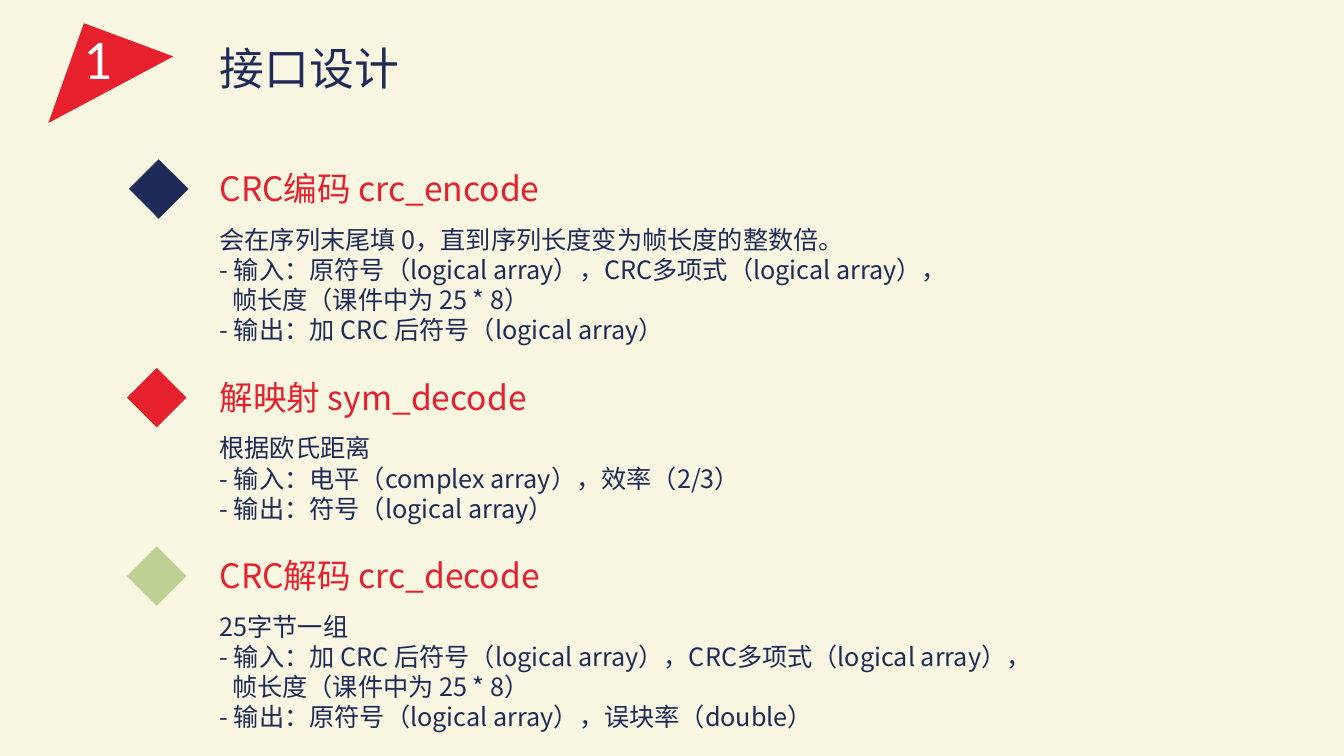
from dataclasses import dataclass

from lxml import etree
from pptx import Presentation
from pptx.dml.color import RGBColor
from pptx.enum import shapes, text
from pptx.oxml import ns
from pptx.util import Pt


@dataclass(frozen=True)
class Theme:
    cream: str = "F9F7E2"
    navy: str = "1E2B58"
    red: str = "E6202D"
    green: str = "BDD194"
    white: str = "FFFFFF"
    chinese: str = "Noto Sans CJK SC"
    numeral: str = "Calibri"
    title: float = 32
    number: float = 40
    heading: float = 24
    body: float = 18
    line: float = 1.2


THEME = Theme()
FRAME_LENGTH = "帧长度（课件中为 25 * 8）"
SECTIONS = [
    (113.76, 92.16, 613.44, THEME.navy, "CRC编码 crc_encode", [
        "会在序列末尾填 0，直到序列长度变为帧长度的整数倍。",
        "- 输入：原符号（logical array），CRC多项式（logical array），",
        FRAME_LENGTH,
        "- 输出：加 CRC 后符号（logical array）",
    ]),
    (262.8, 90.72, 702, THEME.red, "解映射 sym_decode", [
        "根据欧氏距离",
        "- 输入：电平（complex array），效率（2/3）",
        "- 输出：符号（logical array）",
    ]),
    (390.24, 90.72, 647.28, THEME.green, "CRC解码 crc_decode", [
        "25字节一组",
        "- 输入：加 CRC 后符号（logical array），CRC多项式（logical array），",
        FRAME_LENGTH,
        "- 输出：原符号（logical array），误块率（double）",
    ]),
]
TEXT_LEFT = 149.76


def place(shape, left, top, width, height):
    shape.left, shape.top = Pt(left), Pt(top)
    shape.width, shape.height = Pt(width), Pt(height)


def paint(shape, color):
    shape.shadow.inherit = False
    shape.fill.solid()
    shape.fill.fore_color.rgb = RGBColor.from_string(color)
    shape.line.fill.background()


def prepare_frame(shape, top_inset):
    frame = shape.text_frame
    frame.word_wrap = True
    frame.auto_size = text.MSO_AUTO_SIZE.NONE
    frame.vertical_anchor = text.MSO_ANCHOR.TOP
    frame.margin_top = Pt(top_inset)
    return frame


def add_run(paragraph, wording, size, color, font=THEME.chinese):
    paragraph.alignment = text.PP_ALIGN.LEFT
    run = paragraph.add_run()
    run.text = wording
    run.font.size = Pt(size)
    run.font.color.rgb = RGBColor.from_string(color)
    run.font.name = font
    properties = run._r.get_or_add_rPr()
    etree.SubElement(properties, ns.qn("a:ea"), typeface=font)


def add_line(paragraph, wording, size, color):
    paragraph.line_spacing = Pt(size * THEME.line)
    add_run(paragraph, wording, size, color)


def set_title(slide, wording):
    title = slide.shapes.title
    place(title, TEXT_LEFT, 22.32, 143.28, 46.08)
    frame = prepare_frame(title, 7)
    add_line(frame.paragraphs[0], wording, THEME.title, THEME.navy)


def add_number_flag(slide, number):
    builder = slide.shapes.build_freeform(Pt(60), Pt(16.56))
    builder.add_line_segments(
        [(Pt(123.84), Pt(40.32)), (Pt(34.56), Pt(87.84))], close=True)
    paint(builder.convert_to_shape(), THEME.red)
    box = slide.shapes.add_textbox(Pt(52.56), Pt(12.96), Pt(38.88), Pt(55.44))
    frame = prepare_frame(box, 3.6)
    add_run(frame.paragraphs[0], number, THEME.number, THEME.white, THEME.numeral)


def add_section(slide, top, marker_left, width, color, heading, lines):
    marker = slide.shapes.add_shape(
        shapes.MSO_SHAPE.DIAMOND, Pt(marker_left), Pt(top), Pt(42.48), Pt(42.48))
    paint(marker, color)
    height = 48 + len(lines) * THEME.body * THEME.line
    box = slide.shapes.add_textbox(Pt(TEXT_LEFT), Pt(top), Pt(width), Pt(height))
    frame = prepare_frame(box, 6.4)
    add_line(frame.paragraphs[0], heading, THEME.heading, THEME.red)
    for index, wording in enumerate(lines):
        paragraph = frame.add_paragraph()
        add_line(paragraph, wording, THEME.body, THEME.navy)
        if index == 0:
            paragraph.space_before = Pt(11)
        if wording == FRAME_LENGTH:
            paragraph._p.get_or_add_pPr().set("marL", str(Pt(9)))


def main():
    presentation = Presentation()
    presentation.slide_width, presentation.slide_height = Pt(960), Pt(540)
    slide = presentation.slides.add_slide(presentation.slide_layouts[5])
    slide.background.fill.solid()
    slide.background.fill.fore_color.rgb = RGBColor.from_string(THEME.cream)
    set_title(slide, "接口设计")
    add_number_flag(slide, "1")
    for section in SECTIONS:
        add_section(slide, *section)
    presentation.save("out.pptx")


if __name__ == "__main__":
    main()
